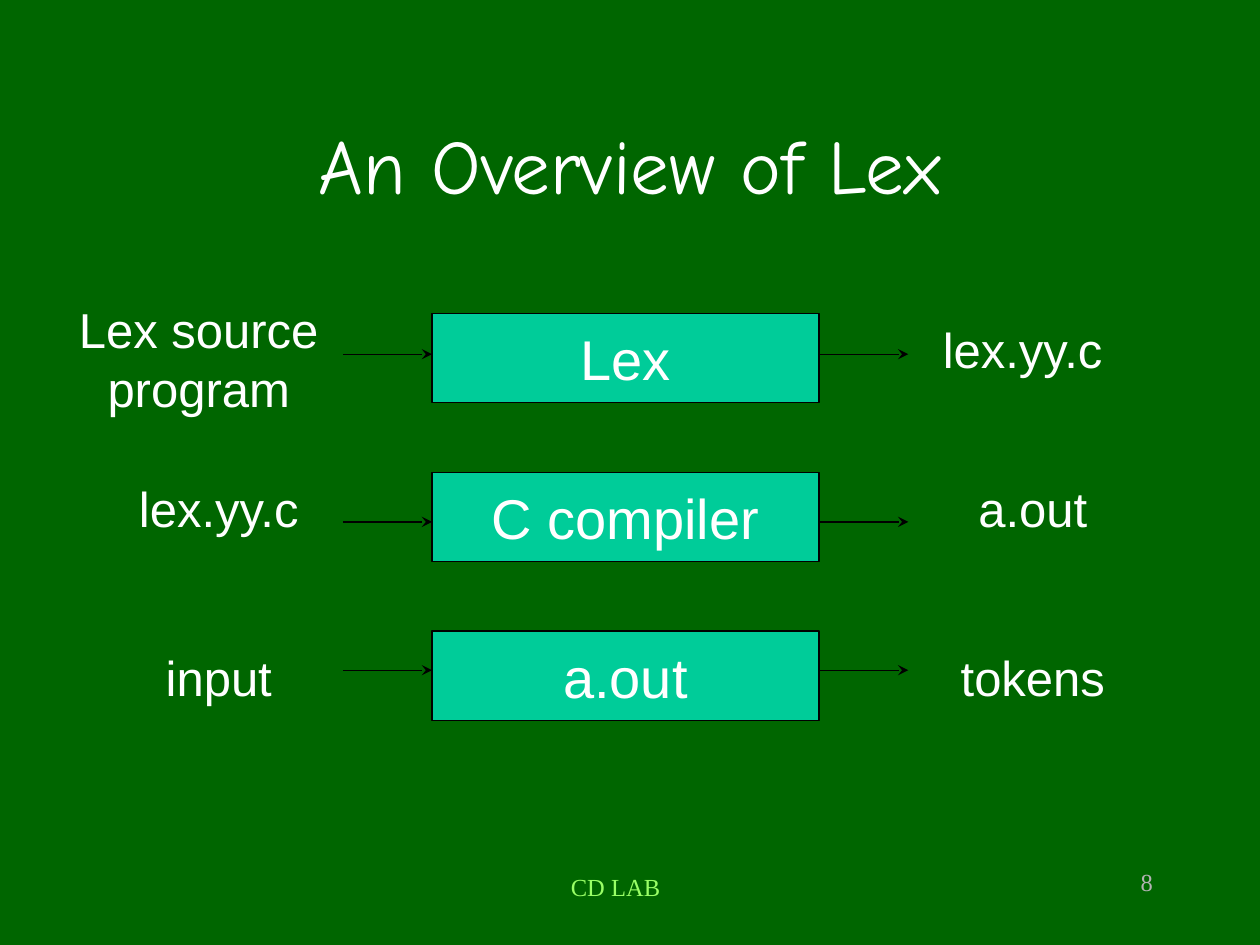
from dataclasses import dataclass

from pptx import Presentation
from pptx import util as u
from pptx.dml.color import RGBColor
from pptx.enum import shapes, text
from pptx.oxml.ns import qn
from lxml import etree

GREEN = RGBColor(0x00, 0x66, 0x00)
TEAL = RGBColor(0x00, 0xCC, 0x99)
LIME = RGBColor(0x99, 0xFF, 0x66)
GREY = RGBColor(0xB2, 0xB2, 0xB2)
WHITE = RGBColor(0xFF, 0xFF, 0xFF)
BLACK = RGBColor(0x00, 0x00, 0x00)

LEFT, WIDE, HIGH = 8.71, 7.8, 1.8
TOP, STEP = 6.32, 3.2
ARROW = 1.8


@dataclass
class Label:
    words: str
    x: float
    y: float
    w: float
    h: float = 1.45


@dataclass
class Stage:
    name: str
    source: Label
    result: Label
    flow: float


STAGES = [
    Stage("Lex", Label("Lex source program", 1.3, 5.92, 5.41, 2.64),
          Label("lex.yy.c", 17.91, 6.32, 5.41), 7.14),
    Stage("C compiler", Label("lex.yy.c", 1.5, 9.52, 5.82),
          Label("a.out", 17.91, 9.52, 5.82), 10.52),
    Stage("a.out", Label("input", 1.5, 12.93, 5.82),
          Label("tokens", 17.91, 12.93, 5.82), 13.51),
]


def write(frame, words: str, font: str, size: int, color: RGBColor,
          align=text.PP_ALIGN.CENTER) -> None:
    frame.text = words
    para = frame.paragraphs[0]
    para.alignment = align
    face = para.runs[0].font
    face.name, face.size = font, u.Pt(size)
    face.color.rgb = color


def add_text(slide, label: Label):
    shape = slide.shapes.add_textbox(
        u.Cm(label.x), u.Cm(label.y), u.Cm(label.w), u.Cm(label.h))
    shape.text_frame.word_wrap = True
    return shape.text_frame


def add_label(slide, label: Label) -> None:
    frame = add_text(slide, label)
    frame.auto_size = text.MSO_AUTO_SIZE.SHAPE_TO_FIT_TEXT
    write(frame, label.words, "Arial", 28, WHITE)
    frame.paragraphs[0].space_before = u.Pt(17.5)


def add_foot(slide, label: Label, color: RGBColor, align) -> None:
    frame = add_text(slide, label)
    write(frame, label.words, "Times New Roman", 14, color, align)


def add_box(slide, name: str, y: float) -> None:
    box = slide.shapes.add_shape(
        shapes.MSO_SHAPE.RECTANGLE, u.Cm(LEFT), u.Cm(y), u.Cm(WIDE), u.Cm(HIGH))
    box.shadow.inherit = False
    box.fill.solid()
    box.fill.fore_color.rgb = TEAL
    box.line.color.rgb = BLACK
    box.line.width = u.Pt(0.75)
    frame = box.text_frame
    frame.word_wrap = False
    frame.vertical_anchor = text.MSO_ANCHOR.MIDDLE
    write(frame, name, "Arial", 32, WHITE)


def add_arrow(slide, x: float, y: float) -> None:
    arrow = slide.shapes.add_connector(
        shapes.MSO_CONNECTOR.STRAIGHT, u.Cm(x), u.Cm(y), u.Cm(x + ARROW), u.Cm(y))
    arrow.line.color.rgb = BLACK
    arrow.line.width = u.Pt(0.75)
    etree.SubElement(arrow.line._get_or_add_ln(), qn("a:tailEnd"), type="stealth")
    etree.SubElement(arrow._element.spPr, qn("a:effectLst"))


def main() -> None:
    deck = Presentation()
    deck.slide_width, deck.slide_height = u.Cm(25.4), u.Cm(19.05)
    slide = deck.slides.add_slide(deck.slide_layouts[5])
    slide.background.fill.solid()
    slide.background.fill.fore_color.rgb = GREEN

    title = slide.shapes.title
    title.left, title.top = u.Cm(1.9), u.Cm(1.7)
    title.width, title.height = u.Cm(21.6), u.Cm(3.18)
    title.text_frame.vertical_anchor = text.MSO_ANCHOR.MIDDLE
    write(title.text_frame, "An Overview of Lex", "Comic Neue", 44, WHITE)

    for row, stage in enumerate(STAGES):
        add_box(slide, stage.name, TOP + row * STEP)
        add_label(slide, stage.source)
        add_label(slide, stage.result)
        add_arrow(slide, LEFT - ARROW, stage.flow)
        add_arrow(slide, LEFT + WIDE, stage.flow)

    add_foot(slide, Label("CD LAB", 6.3, 17.45, 12.22, 1.27), LIME,
             text.PP_ALIGN.CENTER)
    add_foot(slide, Label("8", 18.21, 17.35, 5.28, 1.27), GREY,
             text.PP_ALIGN.RIGHT)
    deck.save("out.pptx")


if __name__ == "__main__":
    main()
